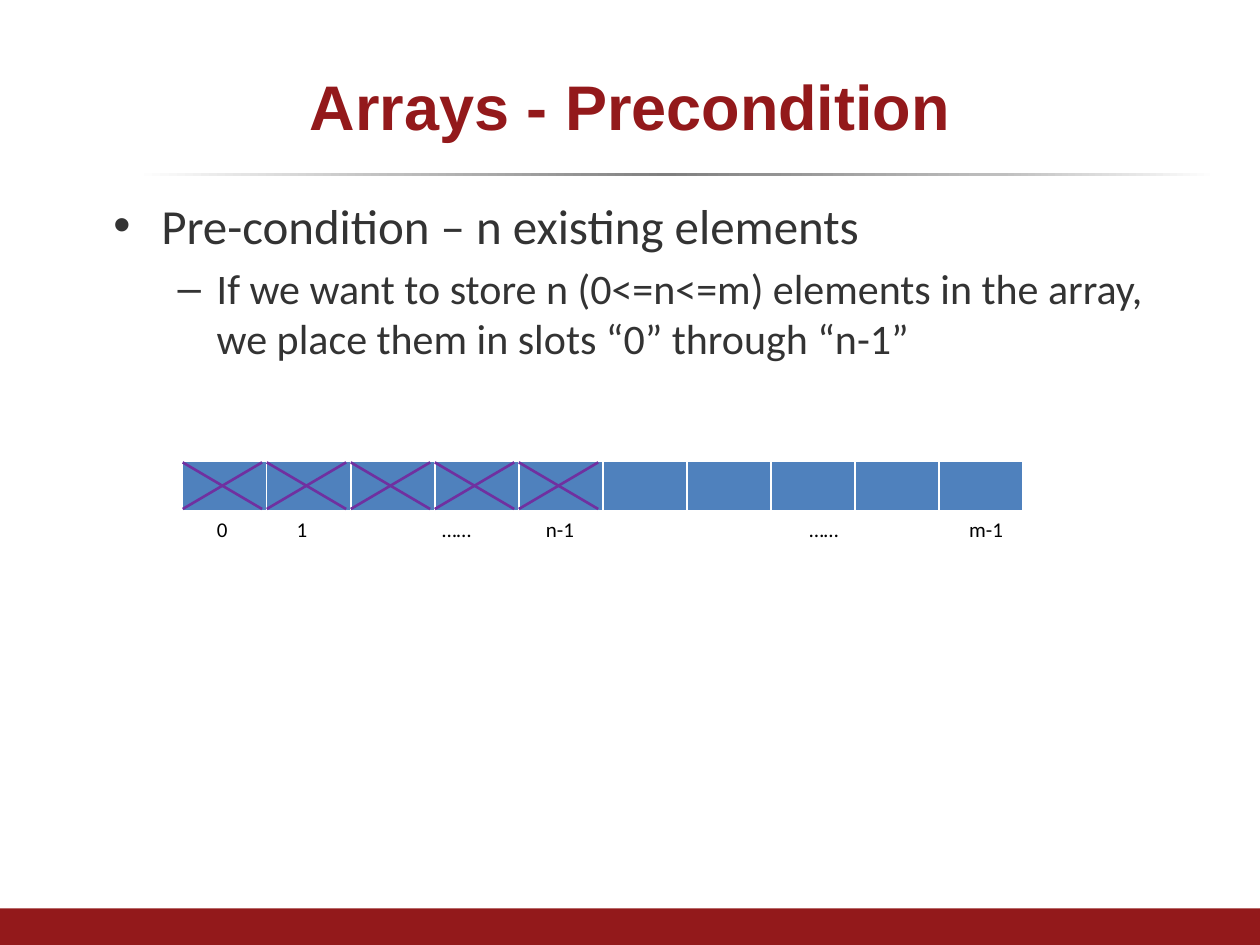
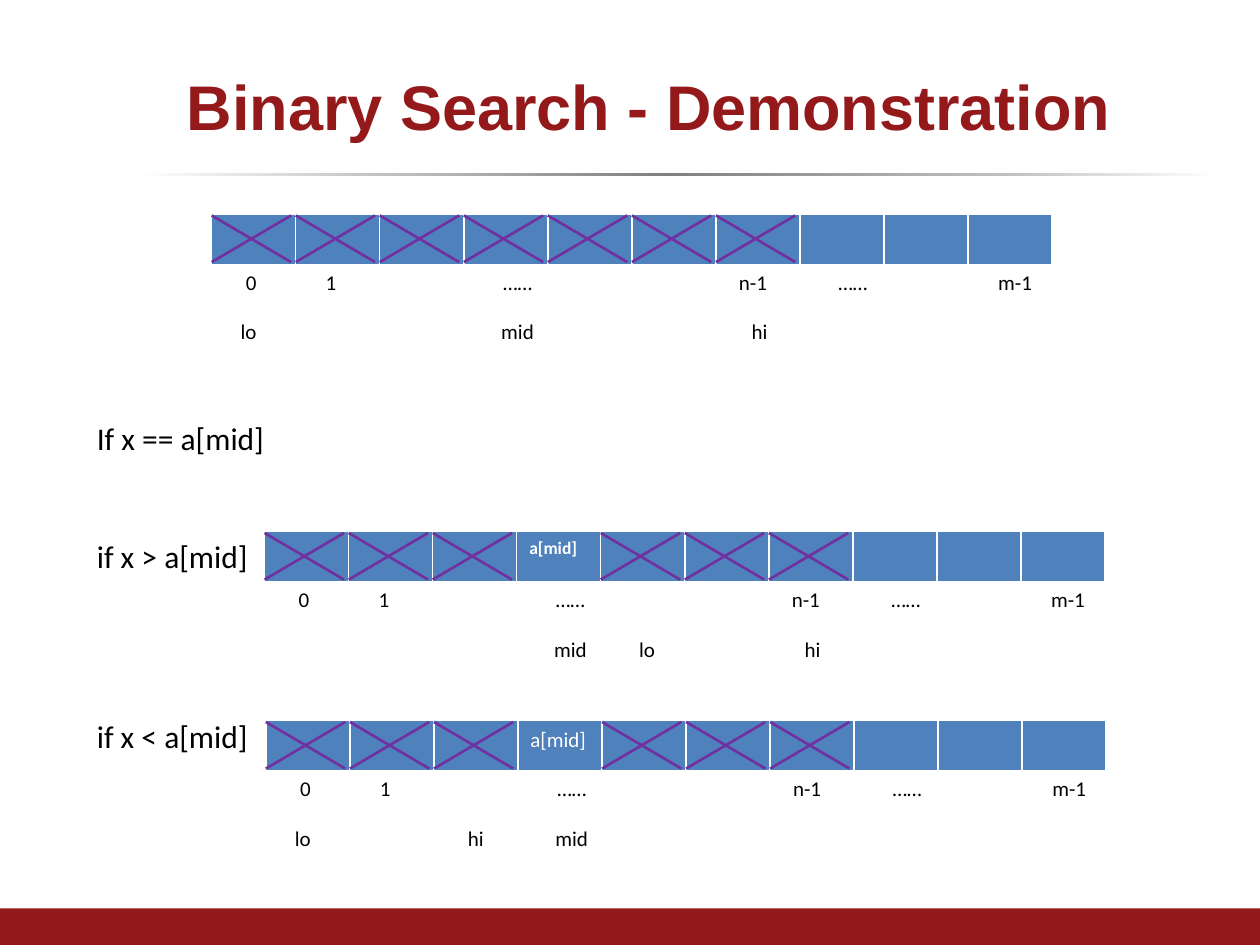
from dataclasses import dataclass

from lxml import etree
from pptx import Presentation
from pptx.dml.color import RGBColor
from pptx.enum.shapes import MSO_CONNECTOR, MSO_SHAPE
from pptx.enum.text import MSO_ANCHOR, PP_ALIGN
from pptx.oxml.ns import qn
from pptx.util import Inches, Pt

LINE = MSO_CONNECTOR.STRAIGHT
RECT = MSO_SHAPE.RECTANGLE
MIDDLE = MSO_ANCHOR.MIDDLE
LEFT, CENTER = PP_ALIGN.LEFT, PP_ALIGN.CENTER


@dataclass(frozen=True)
class Theme:
    head: str = "Arial"
    body: str = "Calibri"
    red: str = "93191B"
    gray: str = "333333"
    black: str = "000000"
    white: str = "FFFFFF"
    blue: str = "4F81BD"
    purple: str = "7030A0"
    title: int = 36
    levels: tuple = (28, 24)
    case: int = 18
    label: int = 12
    cell: int = 10
    fade: tuple = ((0, "FFFFFF"), (24, "BFBFBF"), (49, "808080"),
                   (80, "BFBFBF"), (100, "FFFFFF"))


T = Theme()
WIDTH, HEIGHT = 10, 7.5
CELLS, STEP, ROW = 10, 0.667, 0.41
MARK = 0.63                  # width of a cross
INDEX, NAMES = 0.39, 0.78    # label rows, down from the top of an array
BULLETS = (("•", 0.68, -0.38), ("–", 1.12, -0.31))


def box(*lengths):
    return [Inches(n) for n in lengths]


def add_run(para, text, size, color, face=T.body, bold=False):
    run = para.add_run()
    run.text = text
    font = run.font
    font.name, font.size, font.bold = face, Pt(size), bold
    font.color.rgb = RGBColor.from_string(color)


def add_text(slide, text, place, size=T.label, color=T.black, align=LEFT,
             side=0.1):
    frame = slide.shapes.add_textbox(*box(*place)).text_frame
    frame.word_wrap = True
    frame.margin_left = frame.margin_right = Inches(side)
    para = frame.paragraphs[0]
    para.alignment = align
    add_run(para, text, size, color)


def add_bar(slide, place):
    bar = slide.shapes.add_shape(RECT, *box(*place))
    bar.shadow.inherit = False
    bar.line.fill.background()
    return bar


def fade(bar):
    """Fill a bar with the theme's left-to-right gradient."""
    bar.fill.gradient()
    bar.fill.gradient_angle = 0
    stops = next(bar.element.iter(qn("a:gsLst")))
    for stop in list(stops):
        stops.remove(stop)
    for share, color in T.fade:
        stop = etree.SubElement(stops, qn("a:gs"), pos=str(share * 1000))
        etree.SubElement(stop, qn("a:srgbClr"), val=color)


def add_slide(deck, layout, title, left):
    """Add a slide with the shared title, rule and bottom band."""
    slide = deck.slides.add_slide(deck.slide_layouts.get_by_name(layout))
    fade(add_bar(slide, (1.08, 1.37, 8.58, 0.03)))
    band = add_bar(slide, (0, HEIGHT - 0.29, WIDTH, 0.29))
    band.fill.solid()
    band.fill.fore_color.rgb = RGBColor.from_string(T.red)

    head = slide.shapes.title
    head.left, head.top, head.width, head.height = box(left, 0.3, 9, 1.07)
    head.text_frame.vertical_anchor = MIDDLE
    para = head.text_frame.paragraphs[0]
    para.alignment = CENTER
    add_run(para, title, T.title, T.red, T.head, True)
    return slide


def add_points(slide, points):
    """Fill the body placeholder with (level, text) points."""
    body = slide.placeholders[1]
    body.left, body.top, body.width, body.height = box(0.5, 1.5, 9, 5.67)
    frame = body.text_frame
    for n, (level, text) in enumerate(points):
        para = frame.add_paragraph() if n else frame.paragraphs[0]
        para.level = level
        sign, margin, indent = BULLETS[level]
        props = para._p.get_or_add_pPr()
        props.set("marL", str(Inches(margin)))
        props.set("indent", str(Inches(indent)))
        etree.SubElement(props, qn("a:buChar"), char=sign)
        if n:
            para.space_before = Pt(T.levels[level] * 0.2)
        add_run(para, text, T.levels[level], T.gray)


def edge(cell):
    """Draw the white borders of a cell."""
    props = cell._tc.get_or_add_tcPr()
    for n, (side, width) in enumerate(zip("LRTB", (1, 1, 1, 3))):
        line = etree.Element(qn(f"a:ln{side}"), w=str(Pt(width)))
        fill = etree.SubElement(line, qn("a:solidFill"))
        etree.SubElement(fill, qn("a:srgbClr"), val=T.white)
        props.insert(n, line)


def add_cross(slide, left, top):
    group = slide.shapes.add_group_shape()
    low, high = top + 0.38, top + 0.01
    for start, end in ((high, low), (low, high)):
        line = group.shapes.add_connector(
            LINE, *box(left, start, left + MARK, end))
        line.line.color.rgb = RGBColor.from_string(T.purple)
        line.line.width = Pt(1.5)
        etree.SubElement(line.element.spPr, qn("a:effectLst"))


def add_array(slide, left, top, used, index, names=(), note=None):
    """Draw an array; labels are (text, column) pairs centred on a column."""
    table = slide.shapes.add_table(
        1, CELLS, *box(left, top, CELLS * STEP, ROW)).table
    table.first_row = table.horz_banding = False
    for cell in table.iter_cells():
        cell.fill.solid()
        cell.fill.fore_color.rgb = RGBColor.from_string(T.blue)
        edge(cell)
    if note:
        column, text = note
        para = table.cell(0, column).text_frame.paragraphs[0]
        add_run(para, text, T.cell, T.white, bold=True)
    for column in used:
        add_cross(slide, left + column * STEP, top)
    for labels, drop in ((index, INDEX), (names, NAMES)):
        for text, column in labels:
            wide = 1.65 if text == "……" else 0.47
            start = left + column * STEP - wide / 2
            add_text(slide, text, (start, top + drop, wide, 0.3),
                     align=CENTER, side=0)


def marks(gap, last):
    """Index labels, given the columns of the first dots and of n-1."""
    return (("0", 0.47), ("1", 1.42), ("……", gap), ("n-1", last),
            ("……", 7.63), ("m-1", 9.56))


def show_rule(deck):
    slide = add_slide(deck, "Title and Content", "Arrays - Precondition", 0.5)
    add_points(slide, (
        (0, "Pre-condition – n existing elements"),
        (1, "If we want to store n (0<=n<=m) elements in the array, "
            "we place them in slots “0” through “n-1”"),
    ))
    add_array(slide, 1.45, 3.66, range(5), marks(3.26, 4.49))


def show_search(deck):
    slide = add_slide(deck, "Title Only", "Binary Search - Demonstration", 0.65)
    index = marks(3.64, 6.44)
    low, mid, high = ("lo", 0.44), ("mid", 3.64), ("hi", 6.52)
    rest = (0, 1, 2, 4, 5, 6)
    add_array(slide, 1.68, 1.7, range(7), index, (low, mid, high))
    add_array(slide, 2.1, 4.22, rest, index, (mid, ("lo", 4.55), high),
              note=(3, "a[mid]"))
    add_array(slide, 2.11, 5.72, rest, index, (low, ("hi", 2.5), mid))
    add_text(slide, "a[mid]", (2.11 + 3 * STEP, 5.72, 0.65, 0.3),
             color=T.white)
    for sign, top in (("If x ==", 3.28), ("if x >", 4.21), ("if x <", 5.64)):
        add_text(slide, f"{sign} a[mid]", (0.67, top, 2.05, 0.4), T.case)


def main():
    deck = Presentation()
    deck.slide_width, deck.slide_height = box(WIDTH, HEIGHT)
    show_rule(deck)
    show_search(deck)
    deck.save("out.pptx")


if __name__ == "__main__":
    main()
